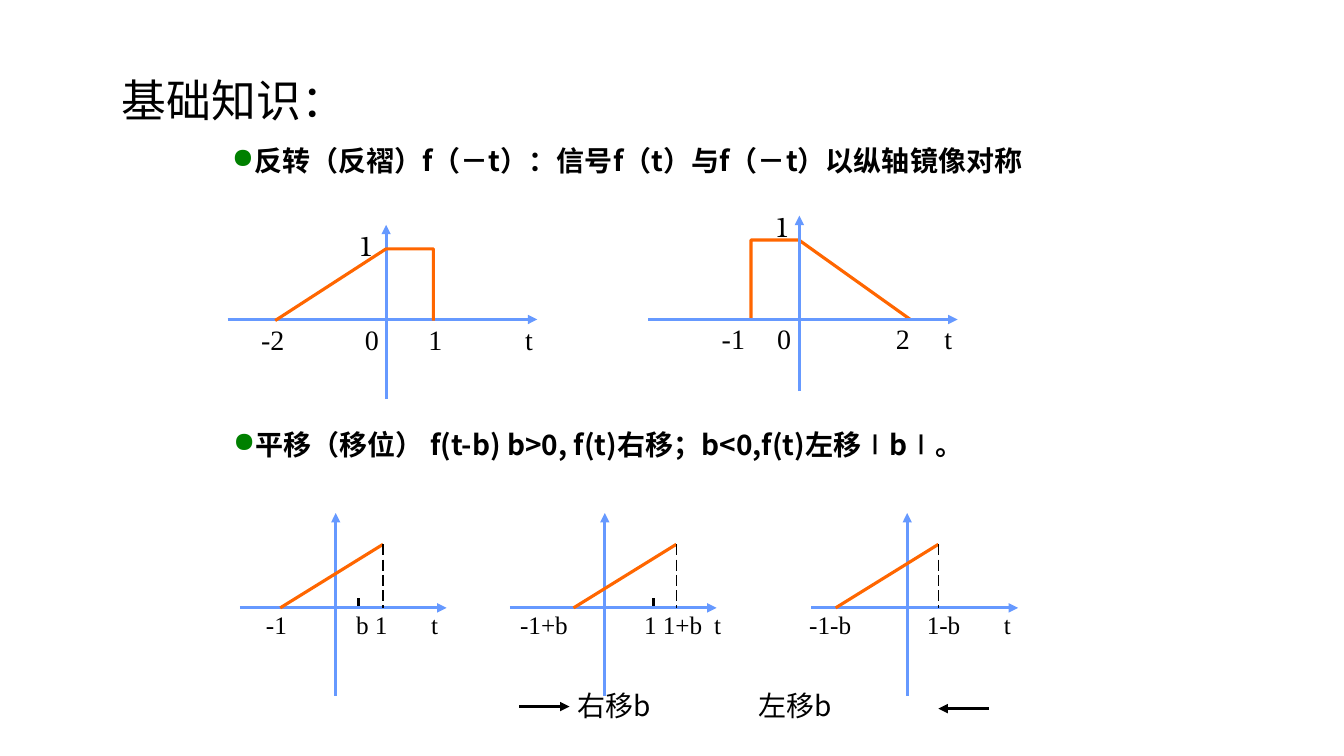
from dataclasses import dataclass

from lxml.etree import SubElement
from pptx import Presentation
from pptx.dml.color import RGBColor
from pptx.enum.dml import MSO_LINE
from pptx.enum.shapes import MSO_CONNECTOR
from pptx.enum.text import MSO_ANCHOR
from pptx.oxml.ns import qn
from pptx.util import Pt


@dataclass(frozen=True)
class Theme:
    ink: str = "000000"
    axis: str = "6699FF"
    signal: str = "FF6600"
    bullet: str = "008000"
    cjk: str = "Noto Sans CJK SC"
    serif: str = "Times New Roman"
    display: str = "TeX Gyre Bonum"
    title_size: int = 32
    body_size: int = 20
    small_size: int = 18
    thick: float = 2.25
    thin: float = 1


class SignalSlide:
    def __init__(self, slide, theme):
        self.slide = slide
        self.theme = theme

    def text(self, wording, left, top, font, size, width=None, bold=False, bullet=False):
        """Place text with its top left corner at the given point."""
        box = self.slide.shapes.add_textbox(
            Pt(left), Pt(top), Pt(width or len(wording) * size), Pt(size * 1.25))
        frame = box.text_frame
        layout = {"word_wrap": True, "vertical_anchor": MSO_ANCHOR.TOP, "margin_left": 0,
                  "margin_right": 0, "margin_top": 0, "margin_bottom": 0}
        for name, value in layout.items():
            setattr(frame, name, value)
        paragraph = frame.paragraphs[0]
        if bullet:
            properties = paragraph._p.get_or_add_pPr()
            properties.set("marL", str(Pt(15.5)))
            properties.set("indent", str(-Pt(15.5)))
            color = SubElement(properties, qn("a:buClr"))
            SubElement(color, qn("a:srgbClr"), val=self.theme.bullet)
            SubElement(properties, qn("a:buChar"), char="●")
        run = paragraph.add_run()
        run.text = wording
        for name, value in {"name": font, "size": Pt(size), "bold": bold}.items():
            setattr(run.font, name, value)
        run.font.color.rgb = RGBColor.from_string(self.theme.ink)
        SubElement(run._r.get_or_add_rPr(), qn("a:ea"), typeface=font)

    def labels(self, entries, top, font, size):
        for wording, left in entries:
            self.text(wording, left, top, font, size)

    def line(self, start, end, color, weight=None, arrow=False, dash=None):
        connector = self.slide.shapes.add_connector(
            MSO_CONNECTOR.STRAIGHT, *(Pt(v) for v in (*start, *end)))
        stroke = connector.line
        stroke.color.rgb = RGBColor.from_string(color)
        stroke.width = Pt(weight or self.theme.thick)
        if dash:
            stroke.dash_style = dash
        if arrow:
            SubElement(stroke._get_or_add_ln(), qn("a:tailEnd"), type="triangle")
        SubElement(connector._element.spPr, qn("a:effectLst"))

    def axes(self, origin, left, right, top, bottom):
        x, y = origin
        self.line((x, bottom), (x, top), self.theme.axis, arrow=True)
        self.line((left, y), (right, y), self.theme.axis, arrow=True)

    def outline(self, points):
        builder = self.slide.shapes.build_freeform(*(Pt(v) for v in points[0]), scale=1.0)
        builder.add_line_segments([(Pt(x), Pt(y)) for x, y in points[1:]], close=False)
        signal = builder.convert_to_shape()
        signal.shadow.inherit = False
        signal.fill.background()
        signal.line.color.rgb = RGBColor.from_string(self.theme.signal)
        signal.line.width = Pt(self.theme.thick)

    def ramp(self, origin, left, start):
        """Draw axes with a rising ramp and the dashed drop at its end."""
        base, peak, end = origin[1], 388.8, start + 73.4
        self.axes(origin, left, left + 147.6, 366.5, 496.8)
        self.line((start, base), (end, peak), self.theme.signal)
        self.line((end, peak), (end, base), self.theme.ink, self.theme.thin,
                  dash=MSO_LINE.LONG_DASH)


def main():
    deck = Presentation()
    deck.slide_width, deck.slide_height = Pt(960), Pt(540)
    theme = Theme()
    page = SignalSlide(deck.slides.add_slide(deck.slide_layouts[6]), theme)

    page.text("基础知识：", 87.1, 51.8, theme.display, theme.title_size, width=282)
    for heading, left, top in (
            ("反转（反褶）f（－t）：信号f（t）与f（－t）以纵轴镜像对称", 165.6, 102.5),
            ("平移（移位） f(t-b) b>0, f(t)右移；b<0,f(t)左移∣b∣。", 166.5, 305.2)):
        page.text(heading, left, top, theme.cjk, theme.body_size, width=680,
                  bold=True, bullet=True)

    # Reflection: the signal and its mirror image
    page.axes((275.8, 228.2), 162.7, 383.8, 160.6, 285.1)
    page.outline([(196.6, 229), (275.8, 177.8), (309.6, 177.8), (309.6, 229)])
    page.outline([(650.2, 228.2), (570.6, 171.4), (536.4, 171.4), (536.4, 228.2)])
    page.axes((571, 228.2), 463, 684, 154.1, 279.4)
    for left, top in ((254.9, 163.4), (552.2, 149.8)):
        page.text("1", left, top, theme.display, theme.body_size)
    page.labels([("-2", 186.5), ("0", 260.6), ("1", 306), ("t", 375.1)],
                230.4, theme.serif, theme.body_size)
    page.labels([("-1", 515.5), ("0", 555.1), ("2", 640), ("t", 674.5)],
                229.7, theme.serif, theme.body_size)

    # Translation: the ramp, shifted right, shifted left
    base = 434.2
    for axis, left, start in ((239.8, 171.4, 200.2), (432, 364.3, 409.7),
                              (648, 579.6, 596.9)):
        page.ramp((axis, base), left, start)
    for tick in (256.3, 466.6):
        page.line((tick, 432.7), (tick, 427), theme.ink)
    page.labels([("-1", 190), ("b 1", 254.3), ("t", 308),
                 ("-1+b", 371.5), ("1 1+b", 460), ("t", 510),
                 ("-1-b", 578), ("1-b", 662), ("t", 717)],
                434.9, theme.serif, theme.small_size)
    page.line((370.8, 504.7), (406.8, 504.7), theme.ink, arrow=True)
    page.line((706.3, 506.2), (670.3, 506.2), theme.ink, arrow=True)
    page.labels([("右移b", 412.5), ("左移b", 541.5)], 491.8, theme.cjk, theme.body_size)

    deck.save("out.pptx")


if __name__ == "__main__":
    main()
